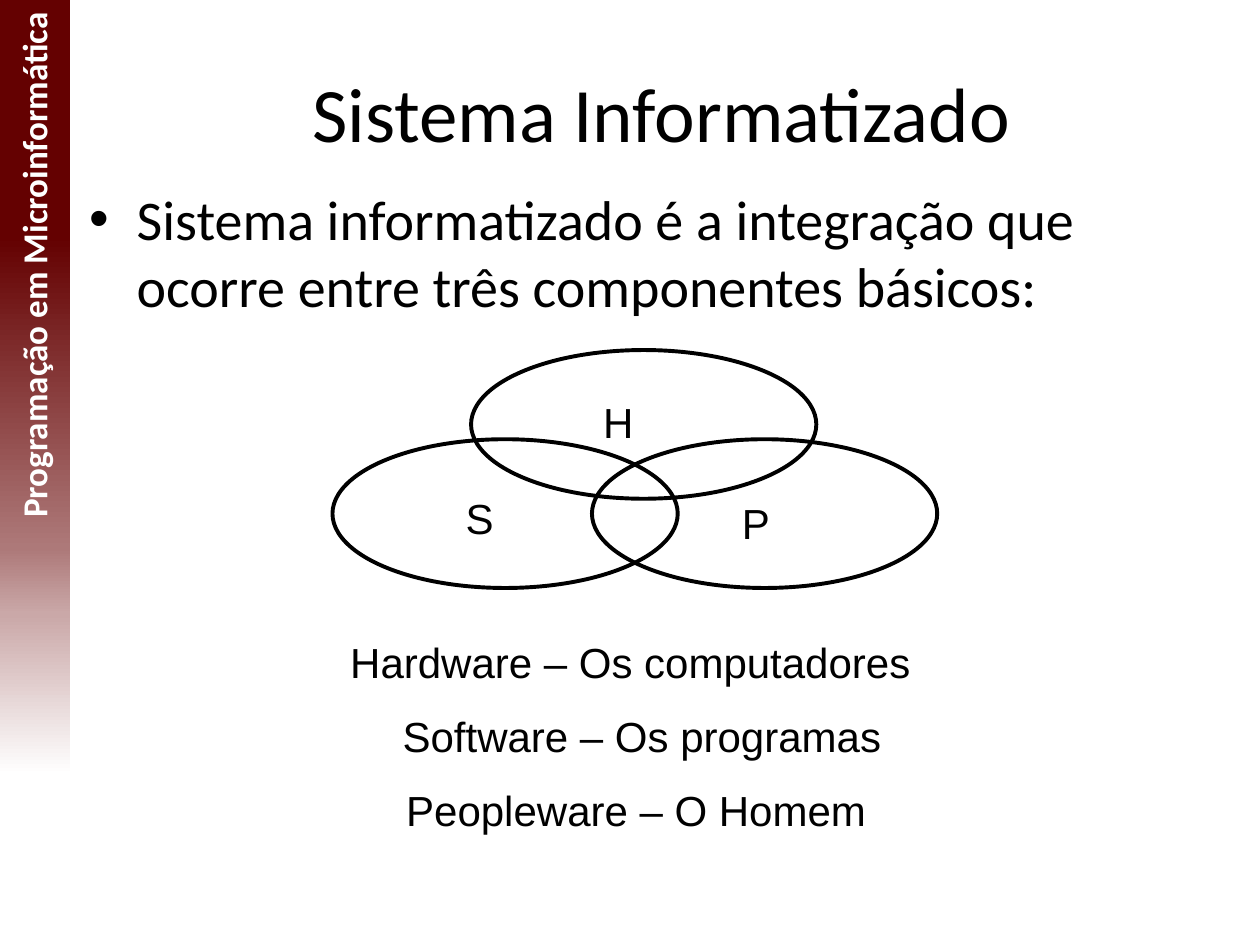
from copy import deepcopy

from lxml.etree import SubElement
from pptx import Presentation
from pptx.dml.color import RGBColor
from pptx.enum.shapes import MSO_SHAPE as Shape
from pptx.enum.text import MSO_ANCHOR as Anchor, PP_ALIGN as Align
from pptx.oxml.ns import qn
from pptx.util import Pt

HUES = {"ink": "000000", "paper": "FFFFFF", "rose": "CAA8A8",
        "clay": "AD7979", "wine": "640101"}


def hue(name):
    return RGBColor.from_string(HUES[name])


def upturn(box):
    """Frame that fills the box once it is turned by 270 degrees."""
    x, y, w, h = box
    return x + (w - h) / 2, y + (h - w) / 2, h, w


def add_text(shapes, box, *lines, size=24, font="Arial", color="ink",
             bold=False, align=Align.LEFT, anchor=Anchor.TOP, gap=0, turn=0):
    item = shapes.add_textbox(*map(Pt, box))
    item.rotation = turn
    frame = item.text_frame
    frame.word_wrap = True
    frame.vertical_anchor = anchor
    for i, line in enumerate(lines):
        para = frame.add_paragraph() if i else frame.paragraphs[0]
        para.alignment = align
        para.space_before = Pt(gap if i else 0)
        run = para.add_run()
        run.text = line
        run.font.size, run.font.name, run.font.bold = Pt(size), font, bold
        run.font.color.rgb = hue(color)
    return item


def add_bullet(para, indent):
    props = para._p.get_or_add_pPr()
    props.set("marL", str(Pt(indent)))
    props.set("indent", str(-Pt(indent)))
    SubElement(props, qn("a:buFont")).set("typeface", "Arial")
    SubElement(props, qn("a:buChar")).set("char", "•")


def side_bar(shapes, box):
    x, y, w, h = box
    bar = shapes.add_shape(Shape.RECTANGLE, *map(Pt, upturn(box)))
    bar.rotation = 270
    bar.shadow.inherit = False
    bar.line.fill.background()

    # Fade from white at the foot to wine at the top
    fade = [(0.18, "paper"), (0.35, "rose"), (0.42, "clay"), (0.75, "wine")]
    bar.fill.gradient()
    bar.fill.gradient_angle = 0
    stops = bar._element.spPr.find(".//" + qn("a:gsLst"))
    while len(stops) < len(fade):
        stops.append(deepcopy(stops[0]))
    for stop, (place, name) in zip(bar.fill.gradient_stops, fade):
        stop.position = place
        stop.color.rgb = hue(name)

    # Course name, reading upwards
    add_text(shapes, upturn((x + 3.6, y, 31.7, 366)),
             "Programação em Microinformática", size=20, font="Calibri",
             color="paper", bold=True, align=Align.RIGHT, turn=270)


def heading(shapes, box):
    add_text(shapes, box, "Sistema Informatizado", size=44, font="Calibri",
             align=Align.CENTER, anchor=Anchor.MIDDLE)


def body(shapes, box):
    item = add_text(shapes, box, "Sistema informatizado é a integração que "
                    "ocorre entre três componentes básicos:",
                    size=32, font="Calibri")
    add_bullet(item.text_frame.paragraphs[0], 27)


def venn(shapes, box):
    x, y, w, h = box
    wide, high = 197.3, 85
    # Letter, place of its ellipse, place of the letter within the ellipse
    sets = [("S", 0, h - high, 69, 27),
            ("P", w - wide, h - high, 78.5, 30),
            ("H", 79.2, 0, 68.4, 23)]
    group = shapes.add_group_shape().shapes
    for _, dx, dy, _, _ in sets:
        oval = group.add_shape(Shape.OVAL, Pt(x + dx), Pt(y + dy),
                               Pt(wide), Pt(high))
        oval.shadow.inherit = False
        oval.fill.background()
        oval.line.color.rgb = hue("ink")
        oval.line.width = Pt(2.25)
    for mark, dx, dy, tx, ty in sets:
        add_text(group, (x + dx + tx, y + dy + ty, 50, 36), mark)


def legend(shapes, box):
    add_text(shapes, box, "Hardware – Os computadores ",
             " Software – Os programas", "Peopleware – O Homem",
             align=Align.CENTER, gap=13.5)


def main():
    deck = Presentation()
    deck.slide_width, deck.slide_height = Pt(720), Pt(540)
    shapes = deck.slides.add_slide(deck.slide_layouts[6]).shapes
    side_bar(shapes, (0, 0, 40, 540))
    heading(shapes, (54, 19, 648, 90))
    body(shapes, (44, 102, 658, 85))
    venn(shapes, (190, 200, 345.6, 136))
    legend(shapes, (60, 360, 607, 122))
    deck.save("out.pptx")


if __name__ == "__main__":
    main()
